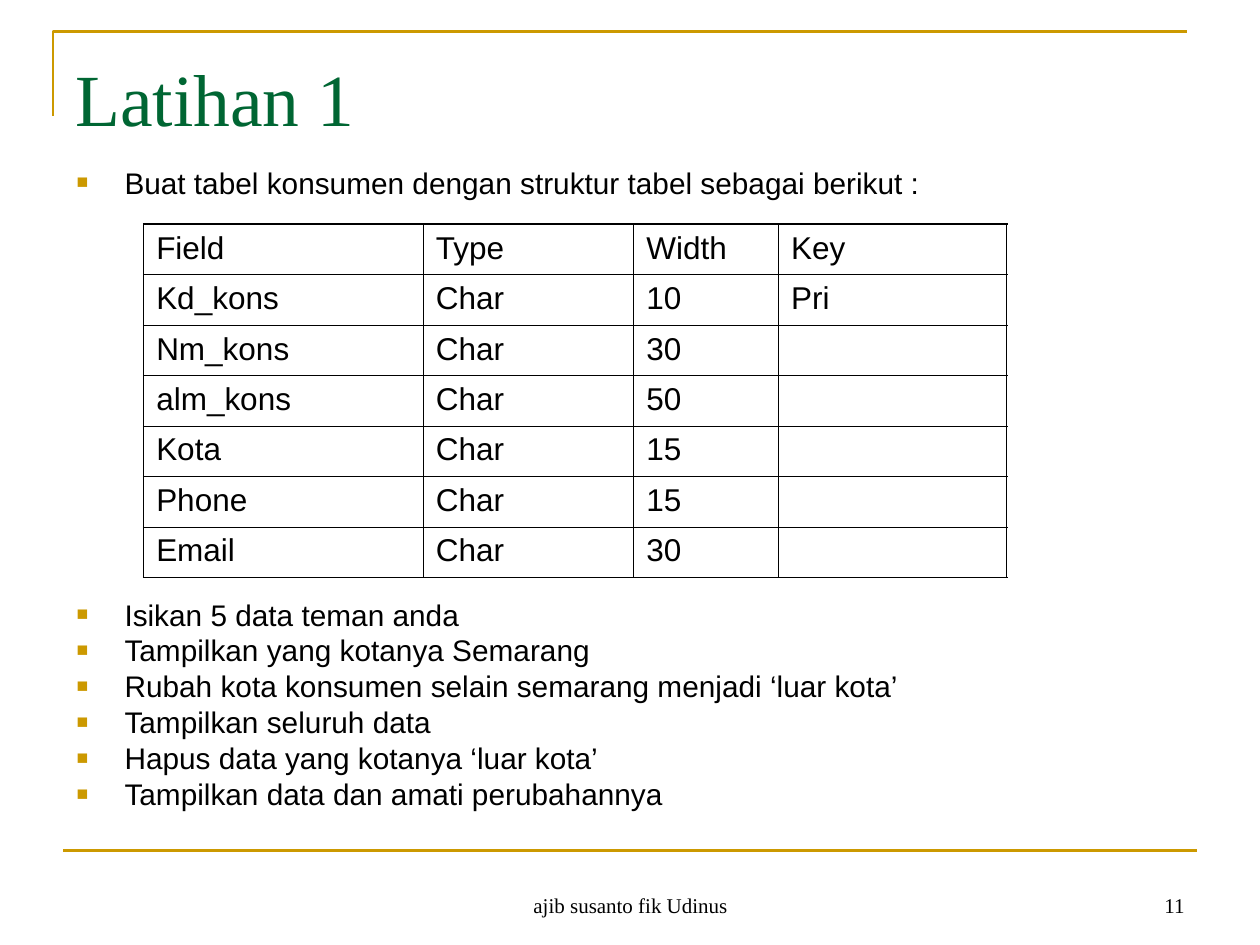
from lxml import etree
from pptx import Presentation
from pptx.dml.color import RGBColor
from pptx.enum.shapes import MSO_CONNECTOR
from pptx.enum.text import MSO_ANCHOR, PP_ALIGN
from pptx.oxml.ns import qn
from pptx.util import Inches, Pt

LEFT, MID, RIGHT = PP_ALIGN.LEFT, PP_ALIGN.CENTER, PP_ALIGN.RIGHT
TOP, LOW = MSO_ANCHOR.TOP, MSO_ANCHOR.BOTTOM
LINE = MSO_CONNECTOR.STRAIGHT

INK = {"text": "000000", "title": "006633", "gold": "CC9900"}
SANS, SERIF = "Arial", "Times New Roman"

TITLE = "Latihan 1"
TASKS = [
    "Buat tabel konsumen dengan struktur tabel sebagai berikut :",
    "Isikan 5 data teman anda",
    "Tampilkan yang kotanya Semarang",
    "Rubah kota konsumen selain semarang menjadi ‘luar kota’",
    "Tampilkan seluruh data",
    "Hapus data yang kotanya ‘luar kota’",
    "Tampilkan data dan amati perubahannya",
]
ROWS = [
    ("Field", "Type", "Width", "Key"),
    ("Kd_kons", "Char", "10", "Pri"),
    ("Nm_kons", "Char", "30", ""),
    ("alm_kons", "Char", "50", ""),
    ("Kota", "Char", "15", ""),
    ("Phone", "Char", "15", ""),
    ("Email", "Char", "30", ""),
]
WIDTHS = [2.22, 1.67, 1.15, 1.81]
ROW_H = 0.4
TABLE_GAP, TASK_GAP = 230.5, 4.2
THICK, THIN = 1.08, 0.45


def color(key):
    return RGBColor.from_string(INK[key])


def style(para, size, face, key="text"):
    font = para.font
    font.size, font.name = Pt(size), face
    font.color.rgb = color(key)


def add_box(slide, area, lines, size, face, key="text", align=LEFT, anchor=TOP):
    frame = slide.shapes.add_textbox(*map(Inches, area)).text_frame
    frame.word_wrap = True
    frame.vertical_anchor = anchor
    frame.text = "\n".join(lines)
    for para in frame.paragraphs:
        para.alignment = align
        style(para, size, face, key)
    return frame


def add_bullet(para):
    props = para._p.get_or_add_pPr()
    props.set("marL", str(Inches(0.38)))
    props.set("indent", str(-Inches(0.38)))
    tint = etree.SubElement(props, qn("a:buClr"))
    etree.SubElement(tint, qn("a:srgbClr"), val=INK["gold"])
    etree.SubElement(props, qn("a:buSzPct"), val="65000")
    etree.SubElement(props, qn("a:buFont"), typeface=SANS)
    etree.SubElement(props, qn("a:buChar"), char="■")


def add_tasks(slide):
    frame = add_box(slide, (0.51, 1.31, 9.21, 5.51), [], 17, SANS)
    for i, task in enumerate(TASKS):
        para = frame.add_paragraph() if i else frame.paragraphs[0]
        para._p.remove(para._p.get_or_add_pPr())
        para.text = task
        para.line_spacing = 0.8
        if i:
            para.space_before = Pt(TABLE_GAP if i == 1 else TASK_GAP)
        add_bullet(para)
        style(para, 17, SANS)


def add_border(cell, side, width):
    props = cell._tc.get_or_add_tcPr()
    edge = etree.SubElement(props, qn("a:ln" + side), w=str(Pt(width)))
    fill = etree.SubElement(edge, qn("a:solidFill"))
    etree.SubElement(fill, qn("a:srgbClr"), val=INK["text"])


def add_fields(slide):
    rows, cols = len(ROWS), len(WIDTHS)
    area = (1.14, 1.78, sum(WIDTHS), rows * ROW_H)
    table = slide.shapes.add_table(rows, cols, *map(Inches, area)).table
    table.first_row = table.horz_banding = False
    for col, width in zip(table.columns, WIDTHS):
        col.width = Inches(width)
    for r, row in enumerate(ROWS):
        table.rows[r].height = Inches(ROW_H)
        for c, text in enumerate(row):
            cell = table.cell(r, c)
            cell.text = text
            style(cell.text_frame.paragraphs[0], 18, SANS)
            outer = {"L": c == 0, "R": c == cols - 1, "T": r == 0, "B": r == rows - 1}
            for side, edge in outer.items():
                add_border(cell, side, THICK if edge else THIN)
            cell.fill.background()


def add_rules(slide):
    build = slide.shapes.build_freeform(Inches(0.42), Inches(0.92))
    ends = [(0.42, 0.25), (9.42, 0.25)]
    build.add_line_segments([(Inches(x), Inches(y)) for x, y in ends], close=False)
    frame = build.convert_to_shape()
    frame.shadow.inherit = False
    frame.fill.background()
    rule = slide.shapes.add_connector(LINE, *map(Inches, (0.5, 6.75, 9.5, 6.75)))
    etree.SubElement(rule._element.spPr, qn("a:effectLst"))
    for shape in (frame, rule):
        shape.line.color.rgb = color("gold")
        shape.line.width = Pt(1.5)


def main():
    deck = Presentation()
    deck.slide_width, deck.slide_height = Inches(10), Inches(7.5)
    slide = deck.slides.add_slide(deck.slide_layouts[6])
    add_rules(slide)
    add_box(slide, (3.42, 6.83, 3.17, 0.5), ["ajib susanto fik Udinus"],
            12, SERIF, align=MID, anchor=LOW)
    add_box(slide, (7.17, 6.83, 2.33, 0.5), ["11"], 12, SERIF, align=RIGHT, anchor=LOW)
    title = add_box(slide, (0.5, 0.3, 9, 1.25), [TITLE], 42, SERIF, "title")
    title.margin_top = Inches(0.12)
    add_tasks(slide)
    add_fields(slide)
    deck.save("out.pptx")


if __name__ == "__main__":
    main()
